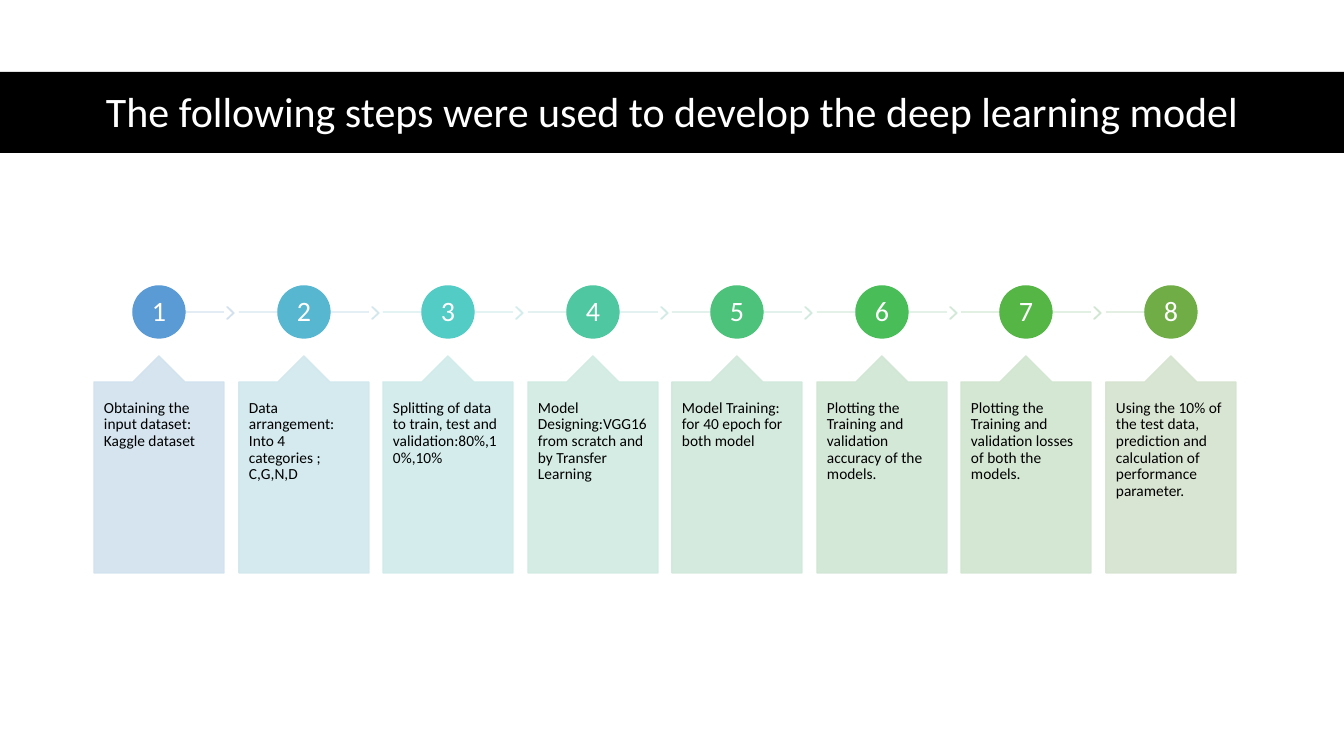
from dataclasses import dataclass

from lxml.etree import SubElement
from pptx import Presentation
from pptx.dml.color import RGBColor
from pptx.enum.shapes import MSO_CONNECTOR as Line, MSO_SHAPE as Shape
from pptx.enum.text import MSO_ANCHOR as Anchor, MSO_AUTO_SIZE as AutoSize, PP_ALIGN as Align
from pptx.oxml.ns import qn
from pptx.util import Emu, Pt

EMU_PER_PX = 914400 / 100.8
SLIDE_W, SLIDE_H = 1344, 756


def px(length):
    return Emu(round(length * EMU_PER_PX))


@dataclass(frozen=True)
class Theme:
    font: str = "Calibri"
    title_size: int = 30
    number_size: int = 20
    step_size: int = 11
    band: str = "000000"
    light_text: str = "FFFFFF"
    dark_text: str = "000000"
    pale_opacity: int = 90
    # One entry per step
    circles: tuple = ("5B9BD5", "57B7D1", "53CCC5", "4FC7A0",
                      "4CC27B", "48BD58", "55B646", "70AD47")
    callouts: tuple = ("D1E2EE", "D1E8ED", "D0EBEA", "D0EAE2",
                       "D0E8DB", "D0E6D4", "D0E5CF", "D5E3CF")
    tracks: tuple = ("D2DEEF", "D1E4EE", "D1EAEC", "D0EBE7",
                     "D0E9DF", "D0E8D8", "CFE6D2", "D2E4CF")
    chevrons: tuple = ("D1E0EF", "D1E6ED", "D1ECEC", "D0EAE4",
                       "D0E9DD", "D0E7D6", "CFE5D0")


class StepSlide:
    def __init__(self, slide, theme):
        self.slide, self.theme = slide, theme

    def paint(self, fill, color, opacity=100):
        fill.solid()
        fill.fore_color.rgb = RGBColor.from_string(color)
        if opacity < 100:
            for srgb in fill._xPr.iter(qn("a:srgbClr")):
                SubElement(srgb, qn("a:alpha")).set("val", str(opacity * 1000))

    def label(self, shape, text, size, color, align, anchor, insets):
        frame = shape.text_frame
        frame.word_wrap = True
        frame.auto_size = AutoSize.NONE
        frame.vertical_anchor = anchor
        frame.margin_left = frame.margin_right = px(insets[0])
        frame.margin_top = frame.margin_bottom = px(insets[1])
        frame.text = text
        paragraph = frame.paragraphs[0]
        paragraph.alignment = align
        paragraph.line_spacing = 0.9
        paragraph.font.name = self.theme.font
        paragraph.font.size = Pt(size)
        paragraph.font.color.rgb = RGBColor.from_string(color)

    def shape(self, kind, box, color, opacity=100, outlined=True, adjust=()):
        shape = self.slide.shapes.add_shape(kind, *map(px, box))
        shape.shadow.inherit = False
        for index, value in enumerate(adjust):
            shape.adjustments[index] = value
        self.paint(shape.fill, color, opacity)
        if outlined:
            shape.line.width = Pt(1)
            self.paint(shape.line.fill, color, opacity)
        else:
            shape.line.fill.background()
        return shape

    def title(self, text):
        theme = self.theme
        self.shape(Shape.RECTANGLE, (0, 72, SLIDE_W, 81), theme.band, outlined=False)
        title = self.slide.shapes.title
        title.left, title.top, title.width, title.height = map(px, (93, 75, 1159, 78))
        self.label(title, text, theme.title_size, theme.light_text,
                   Align.CENTER, Anchor.MIDDLE, (10, 5))
        # Bring the title in front of its band
        self.slide.shapes._spTree.append(title._element)

    def track(self, start, end, y, color):
        track = self.slide.shapes.add_connector(Line.STRAIGHT, px(start), px(y), px(end), px(y))
        track.line.width = Pt(1)
        self.paint(track.line.fill, color, self.theme.pale_opacity)
        SubElement(track._element.spPr, qn("a:effectLst"))

    def chevron(self, x, y, color):
        self.shape(Shape.CHEVRON, (x, y, 7, 12), color, self.theme.pale_opacity, adjust=(0.9,))

    def circle(self, x, y, number, color):
        circle = self.shape(Shape.OVAL, (x, y, 52, 52), color)
        self.label(circle, str(number), self.theme.number_size, self.theme.light_text,
                   Align.CENTER, Anchor.MIDDLE, (2, 2))

    def callout(self, x, y, text, color):
        callout = self.shape(Shape.UP_ARROW_CALLOUT, (x, y, CARD_W, 217), color,
                             self.theme.pale_opacity, adjust=(0.5, 0.2, 0.2, 1))
        self.label(callout, text, self.theme.step_size, self.theme.dark_text,
                   Align.LEFT, Anchor.TOP, (10, 18))


# Steps, with no-break spaces where words stay together
STEPS = (
    "Obtaining the input dataset: Kaggle dataset",
    "Data arrangement: Into 4 categories ; C,G,N,D",
    "Splitting of data to train, test and validation:80%,10%,10%",
    "Model Designing:VGG16 from scratch and by Transfer Learning",
    "Model Training:  for 40 epoch for both model",
    "Plotting the Training and validation accuracy of the models.",
    "Plotting the Training and validation losses of both the models.",
    "Using the 10% of the test data, prediction and calculation of performance parameter.",
)
FIRST_LEFT, LAST_LEFT, CARD_W = 94, 1106, 130
TRACK_Y = 312


def main():
    deck = Presentation()
    deck.slide_width, deck.slide_height = px(SLIDE_W), px(SLIDE_H)
    theme = Theme()
    page = StepSlide(deck.slides.add_slide(deck.slide_layouts[5]), theme)

    page.title("The following steps were used to develop the deep learning model")

    # Numbered timeline with a callout under each step
    last = len(STEPS) - 1
    for i, text in enumerate(STEPS):
        left = FIRST_LEFT + round(i * (LAST_LEFT - FIRST_LEFT) / last)
        middle, right = left + CARD_W // 2, left + CARD_W
        page.track(middle if i == 0 else left, middle if i == last else right,
                   TRACK_Y, theme.tracks[i])
        if i < last:
            page.chevron(right + 3, TRACK_Y - 5, theme.chevrons[i])
        page.circle(middle - 26, TRACK_Y - 26, i + 1, theme.circles[i])
        page.callout(left, 356, text, theme.callouts[i])

    deck.save("out.pptx")


if __name__ == "__main__":
    main()
